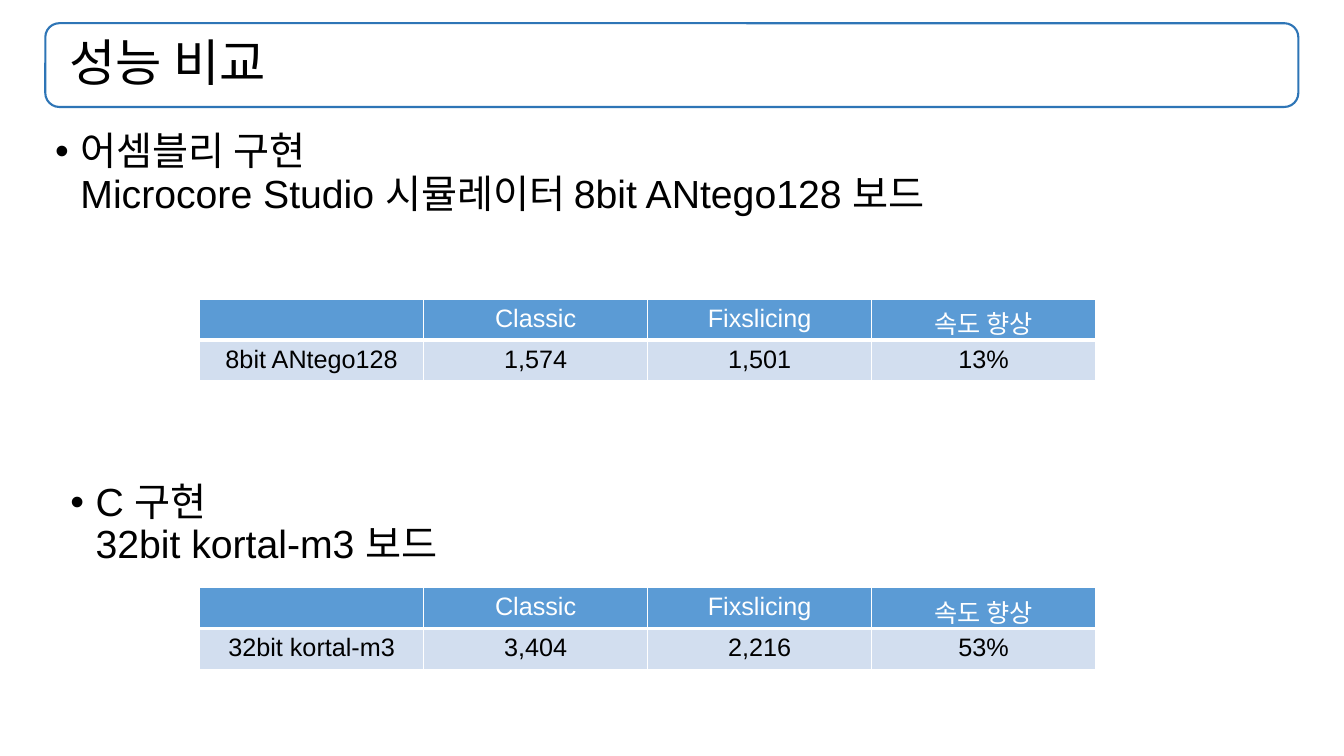
from lxml.etree import SubElement as Sub
from pptx import Presentation
from pptx.dml.color import RGBColor
from pptx.enum.shapes import MSO_SHAPE as Shape
from pptx.enum.text import MSO_ANCHOR as Anchor, PP_ALIGN as Align
from pptx.oxml.ns import qn
from pptx.util import Pt

BLACK = RGBColor(0x00, 0x00, 0x00)
WHITE = RGBColor(0xFF, 0xFF, 0xFF)
EDGE = RGBColor(0x2E, 0x75, 0xB6)
HEAD = RGBColor(0x5B, 0x9B, 0xD5)
BODY = RGBColor(0xD2, 0xDE, 0xEF)
FONT = "Arial"
LEFT, WIDTH = 32.4, 895
COL, ROW = 160, 29.2
HEADS = ["", "Classic", "Fixslicing", "속도 향상"]


def style(font, size, color):
    font.name = FONT
    font.size = Pt(size)
    font.color.rgb = color


def write(para, lines, size, color):
    for i, line in enumerate(lines):
        if i:
            para.add_line_break()
        run = para.add_run()
        run.text = line
        style(run.font, size, color)


def add_box(slide, left, top, height):
    box = slide.shapes.add_textbox(Pt(left), Pt(top), Pt(WIDTH), Pt(height))
    box.text_frame.word_wrap = True
    para = box.text_frame.paragraphs[0]
    para.line_spacing = 0.9
    return box.text_frame, para


def add_title(slide, text):
    top, height = 16.6, 59.8
    rim = slide.shapes.add_shape(
        Shape.ROUNDED_RECTANGLE, Pt(LEFT), Pt(top), Pt(WIDTH), Pt(height))
    rim.shadow.inherit = False
    rim.fill.background()
    rim.line.color.rgb = EDGE
    rim.line.width = Pt(1.5)
    frame, para = add_box(slide, LEFT, top, height)
    frame.vertical_anchor = Anchor.MIDDLE
    frame.margin_left = Pt(17.2)
    write(para, [text], 36, BLACK)


def add_bullet(slide, left, top, height, lines):
    para = add_box(slide, left, top, height)[1]
    props = para._p.get_or_add_pPr()
    props.set("marL", str(Pt(18)))
    props.set("indent", str(Pt(-18)))
    Sub(props, qn("a:buFont"), typeface=FONT)
    Sub(props, qn("a:buChar"), char="•")
    write(para, lines, 28, BLACK)


def add_edges(cell, base):
    props = cell._tc.get_or_add_tcPr()
    for side, width in zip("LRTB", (1, 1, 1, base)):
        line = Sub(props, qn(f"a:ln{side}"), w=str(Pt(width)))
        fill = Sub(line, qn("a:solidFill"))
        Sub(fill, qn("a:srgbClr"), val=str(WHITE))


def add_grid(slide, top, values):
    rows = [(HEADS, HEAD, WHITE, 3), (values, BODY, BLACK, 1)]
    table = slide.shapes.add_table(
        len(rows), len(HEADS), Pt(142.6), Pt(top),
        Pt(COL * len(HEADS)), Pt(ROW * len(rows))).table
    for r, (texts, fill, color, base) in enumerate(rows):
        table.rows[r].height = Pt(ROW)
        for c, text in enumerate(texts):
            cell = table.cell(r, c)
            add_edges(cell, base)
            cell.fill.solid()
            cell.fill.fore_color.rgb = fill
            para = cell.text_frame.paragraphs[0]
            para.alignment = Align.CENTER
            if text:
                write(para, [text], 18, color)


def main():
    deck = Presentation()
    deck.slide_width, deck.slide_height = Pt(960), Pt(540)
    slide = deck.slides.add_slide(deck.slide_layouts[6])
    add_title(slide, "성능 비교")
    add_bullet(slide, LEFT, 90.7, 441.4,
               ["어셈블리 구현", "Microcore Studio 시뮬레이터 8bit ANtego128 보드"])
    add_bullet(slide, 43.2, 341.3, 146.2, ["C 구현", "32bit kortal-m3 보드"])
    add_grid(slide, 419.8, ["32bit kortal-m3", "3,404", "2,216", "53%"])
    add_grid(slide, 213.8, ["8bit ANtego128", "1,574", "1,501", "13%"])
    deck.save("out.pptx")


if __name__ == "__main__":
    main()
